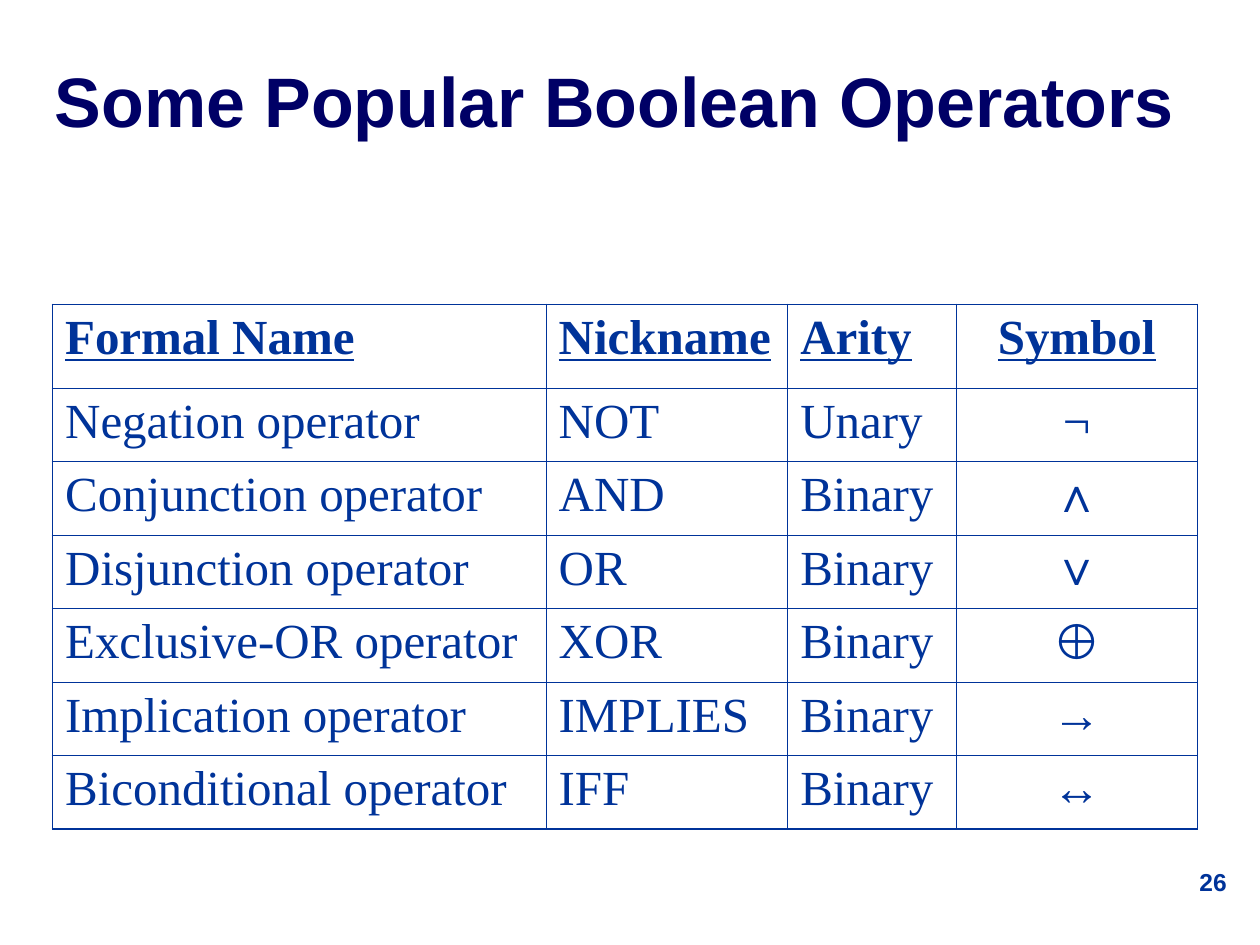
from dataclasses import dataclass

from lxml import etree
from pptx import Presentation
from pptx.dml.color import RGBColor
from pptx.enum.text import MSO_ANCHOR, PP_ALIGN
from pptx.oxml.ns import qn
from pptx.util import Cm, Pt

LEFT, CENTER, RIGHT = PP_ALIGN.LEFT, PP_ALIGN.CENTER, PP_ALIGN.RIGHT
TOP, MIDDLE = MSO_ANCHOR.TOP, MSO_ANCHOR.MIDDLE


@dataclass(frozen=True)
class Theme:
    ink: str = "003399"
    heading: str = "000066"
    paper: str = "FFFFFF"
    sans: str = "Arial"
    serif: str = "Times New Roman"
    title_size: int = 40
    table_size: int = 28
    number_size: int = 14
    outer_line: float = 1.08
    inner_line: float = 0.45


def write(frame, text, *, font, size, color, bold=False, underline=False, align=LEFT):
    para = frame.paragraphs[0]
    para.alignment = align
    span = para.add_run()
    span.text = text
    span.font.name = font
    span.font.size = Pt(size)
    span.font.bold = bold
    span.font.underline = underline
    span.font.color.rgb = RGBColor.from_string(color)


def add_border(cell, side, color, width):
    line = etree.SubElement(cell._tc.get_or_add_tcPr(), qn(f"a:ln{side}"), w=str(Pt(width)))
    fill = etree.SubElement(line, qn("a:solidFill"))
    etree.SubElement(fill, qn("a:srgbClr"), val=color)


class SlideBuilder:
    """Draws styled elements on one slide."""

    def __init__(self, page, theme):
        self.page = page
        self.theme = theme

    def text(self, text, left, top, width, height, *, anchor=TOP, side_margin=0.25, **style):
        box = self.page.shapes.add_textbox(Cm(left), Cm(top), Cm(width), Cm(height))
        frame = box.text_frame
        frame.word_wrap = True
        frame.vertical_anchor = anchor
        frame.margin_left = frame.margin_right = Cm(side_margin)
        write(frame, text, **style)

    def table(self, rows, left, top, widths, heights, sans_symbols):
        theme = self.theme
        grid = self.page.shapes.add_table(
            len(rows), len(widths), Cm(left), Cm(top), Cm(sum(widths)), Cm(sum(heights))
        ).table
        grid.first_row = grid.horz_banding = False
        for column, width in zip(grid.columns, widths):
            column.width = Cm(width)
        for row, height in zip(grid.rows, heights):
            row.height = Cm(height)
        last_row, last_column = len(rows) - 1, len(widths) - 1
        for r, values in enumerate(rows):
            for c, value in enumerate(values):
                cell = grid.cell(r, c)
                outer_sides = {"L": c == 0, "R": c == last_column, "T": r == 0, "B": r == last_row}
                for side, outer in outer_sides.items():
                    add_border(cell, side, theme.ink, theme.outer_line if outer else theme.inner_line)
                cell.fill.solid()
                cell.fill.fore_color.rgb = RGBColor.from_string(theme.paper)
                write(
                    cell.text_frame,
                    value,
                    font=theme.sans if value in sans_symbols else theme.serif,
                    size=theme.table_size,
                    color=theme.ink,
                    bold=r == 0,
                    underline=r == 0,
                    align=CENTER if c == last_column else LEFT,
                )


OPERATORS = [
    ("Formal Name", "Nickname", "Arity", "Symbol"),
    ("Negation operator", "NOT", "Unary", "¬"),
    ("Conjunction operator", "AND", "Binary", "∧"),
    ("Disjunction operator", "OR", "Binary", "∨"),
    ("Exclusive-OR operator", "XOR", "Binary", "⊕"),
    ("Implication operator", "IMPLIES", "Binary", "→"),
    ("Biconditional operator", "IFF", "Binary", "↔"),
]


def main():
    deck = Presentation()
    deck.slide_width, deck.slide_height = Cm(25.4), Cm(19.05)
    theme = Theme()
    slide = SlideBuilder(deck.slides.add_slide(deck.slide_layouts[6]), theme)

    slide.text(
        "Some Popular Boolean Operators", 0.85, 0.42, 23.07, 3.18, anchor=MIDDLE, side_margin=0,
        font=theme.sans, size=theme.title_size, color=theme.heading, bold=True, align=CENTER,
    )
    slide.table(
        OPERATORS, 1.06, 6.14,
        widths=[9.95, 4.87, 3.39, 4.87],
        heights=[1.69] + [1.48] * (len(OPERATORS) - 1),
        sans_symbols="∧∨⊕→",
    )
    slide.text(
        "26", 19.69, 17.36, 5.29, 1.27,
        font=theme.sans, size=theme.number_size, color=theme.ink, bold=True, align=RIGHT,
    )
    deck.save("out.pptx")


if __name__ == "__main__":
    main()
